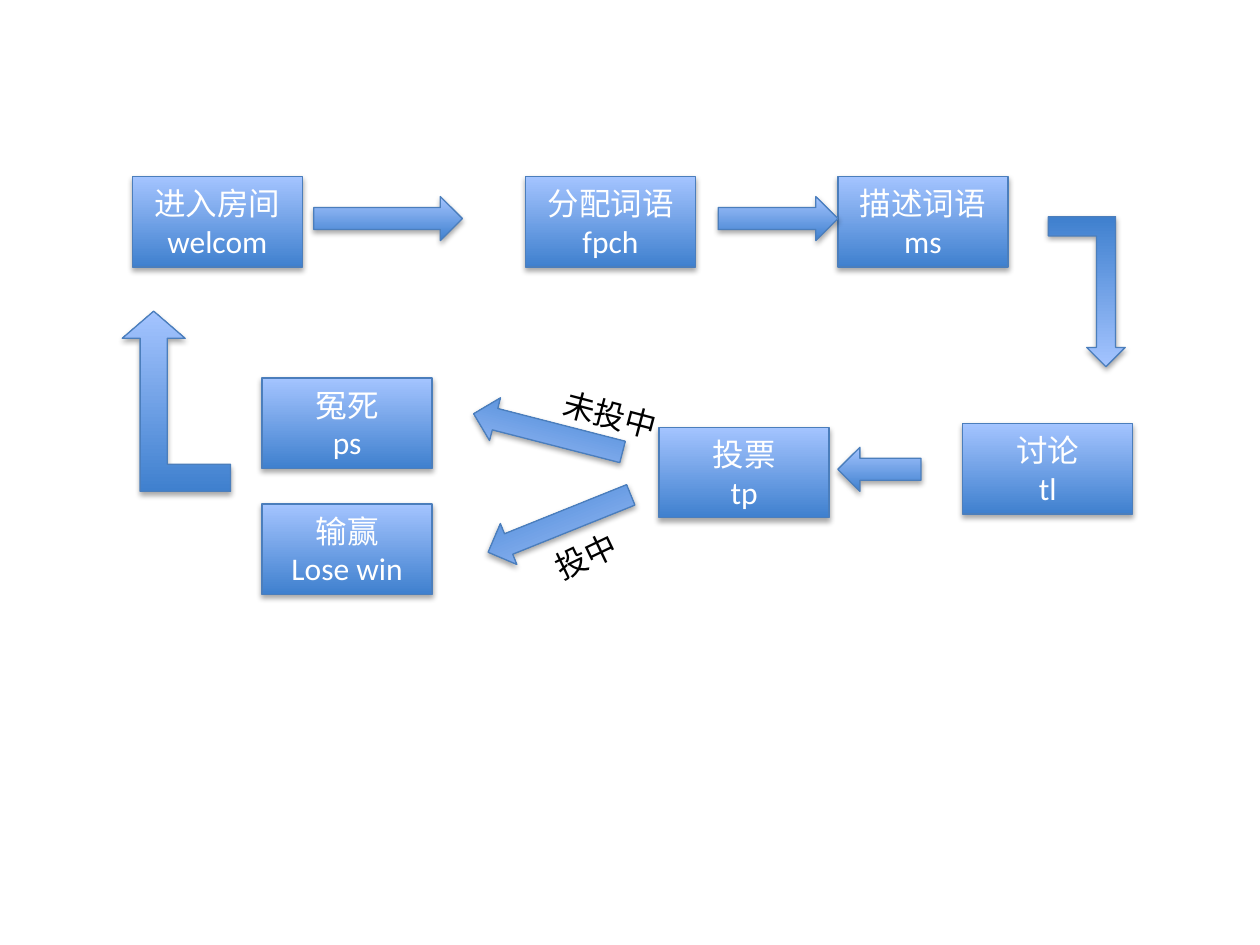
from typing import NamedTuple

from lxml import etree
from pptx import Presentation, util as u
from pptx.dml.color import RGBColor
from pptx.enum import shapes, text
from pptx.oxml import ns

WIDTH, HEIGHT = u.Inches(10), u.Inches(7.5)
CELL = WIDTH / 100
DARK_BLUE = RGBColor(0x3F, 0x80, 0xCE)
LIGHT_BLUE = RGBColor(0xA4, 0xC4, 0xFF)
OUTLINE = RGBColor(0x4B, 0x7E, 0xBC)
WHITE = RGBColor(0xFF, 0xFF, 0xFF)
BLACK = RGBColor(0, 0, 0)
STEP_SIZE = (13.5, 7.2)
ARROW_HEIGHT = 3.5


class Box(NamedTuple):
    """An area measured in grid columns and rows of a hundredth of the slide width."""
    left: float
    top: float
    width: float
    height: float

    def area(self, left, top, width, height):
        """Return an area placed relative to this one."""
        return Box(self.left + left, self.top + top, width, height)

    def lengths(self):
        """Return the area in slide units."""
        return [u.Emu(round(value * CELL)) for value in self]


def write_text(shape, paragraphs, color=WHITE, size=18, font="Calibri",
               align=text.PP_ALIGN.CENTER):
    """Fill a shape with formatted paragraphs."""
    frame = shape.text_frame
    frame.text = "\n".join(paragraphs)
    for paragraph in frame.paragraphs:
        paragraph.alignment = align
        paragraph.font.name = font
        paragraph.font.size = u.Pt(size)
        paragraph.font.color.rgb = color


def add_shadow(shape):
    """Give a shape a soft shadow falling straight down."""
    effects = etree.SubElement(shape.element.spPr, ns.qn("a:effectLst"))
    shadow = etree.SubElement(effects, ns.qn("a:outerShdw"), blurRad="40000",
                              dist="23000", dir="5400000", rotWithShape="0")
    color = etree.SubElement(shadow, ns.qn("a:srgbClr"), val="000000")
    etree.SubElement(color, ns.qn("a:alpha"), val="35000")


def add_block(slide, kind, box):
    """Add a preset shape with the blue gradient, outline and shadow."""
    shape = slide.shapes.add_shape(kind, *box.lengths())
    shape.fill.gradient()
    shape.fill.gradient_angle = 90
    for stop, color, position in zip(shape.fill.gradient_stops,
                                     (DARK_BLUE, LIGHT_BLUE), (0, 1)):
        stop.color.rgb = color
        stop.position = position
    shape.line.color.rgb = OUTLINE
    shape.line.width = u.Pt(0.75)
    add_shadow(shape)
    return shape


def add_step(slide, box, left, top, *paragraphs):
    """Add a step of the game at a place within a region."""
    shape = add_block(slide, shapes.MSO_SHAPE.RECTANGLE, box.area(left, top, *STEP_SIZE))
    shape.text_frame.word_wrap = True
    shape.text_frame.vertical_anchor = text.MSO_ANCHOR.MIDDLE
    write_text(shape, paragraphs)


def add_arrow(slide, box, kind=shapes.MSO_SHAPE.RIGHT_ARROW, rotation=0, flip=None):
    """Add a block arrow, turned or mirrored as asked."""
    shape = add_block(slide, kind, box)
    shape.rotation = rotation
    if flip:
        shape.element.spPr.xfrm.set(flip, "1")
    return shape


def add_label(slide, box, words, rotation):
    """Add a tilted caption beside an arrow."""
    label = slide.shapes.add_textbox(*box.lengths())
    label.rotation = rotation
    label.text_frame.word_wrap = False
    label.text_frame.auto_size = text.MSO_AUTO_SIZE.SHAPE_TO_FIT_TEXT
    write_text(label, [words], color=BLACK, align=text.PP_ALIGN.LEFT)


def add_opening(slide, box):
    """Add the row from entering the room to describing the word."""
    add_step(slide, box, 0, 0, "进入房间", "welcom")
    add_step(slide, box, 31.2, 0, "分配词语fpch")
    add_step(slide, box, 56, 0, "描述词语ms")
    for left, width in ((14.4, 11.8), (46.5, 9.5)):
        add_arrow(slide, box.area(left, 1.6, width, ARROW_HEIGHT))


def add_discussion(slide, box):
    """Add the turn down to the discussion and the arrow out of it."""
    add_arrow(slide, box.area(16.7, 0, 6.1, 11.9),
              shapes.MSO_SHAPE.BENT_UP_ARROW, rotation=180, flip="flipH")
    add_step(slide, box, 9.9, 16.4, "讨论", "tl")
    add_arrow(slide, box.area(0, 18.3, 6.6, ARROW_HEIGHT), flip="flipH")


def add_vote(slide, box):
    """Add the vote and its two labelled branches."""
    add_step(slide, box, 14.9, 3, "投票", "tp")
    for left, top, rotation in ((0, 1.7, 194.4), (0.9, 8.9, 158.1)):
        add_arrow(slide, box.area(left, top, 12.2, ARROW_HEIGHT), rotation=rotation)
    add_label(slide, box.area(6.3, 0, 9.6, 4), "未投中", 14.8)
    add_label(slide, box.area(5.6, 11.2, 7.1, 4), "投中", 334.3)


def add_outcomes(slide, box):
    """Add the two outcomes and the arrow back to the start."""
    add_step(slide, box, 11.1, 5.3, "冤死", "ps")
    add_step(slide, box, 11.1, 15.3, "输赢", "Lose win")
    arrow = add_arrow(slide, box.area(0, 0, 8.6, 14.3),
                      shapes.MSO_SHAPE.BENT_UP_ARROW, rotation=180, flip="flipV")
    arrow.adjustments[1] = 0.29


def main():
    """Build the game flow slide and save it."""
    presentation = Presentation()
    presentation.slide_width, presentation.slide_height = WIDTH, HEIGHT
    slide = presentation.slides.add_slide(presentation.slide_layouts[6])
    add_opening(slide, Box(10.5, 14, 69.5, 7.2))
    add_discussion(slide, Box(66.5, 17.2, 23.4, 23.6))
    add_vote(slide, Box(37.4, 30.9, 28.4, 15.2))
    add_outcomes(slide, Box(9.7, 24.7, 24.6, 22.5))
    presentation.save("out.pptx")


if __name__ == "__main__":
    main()
